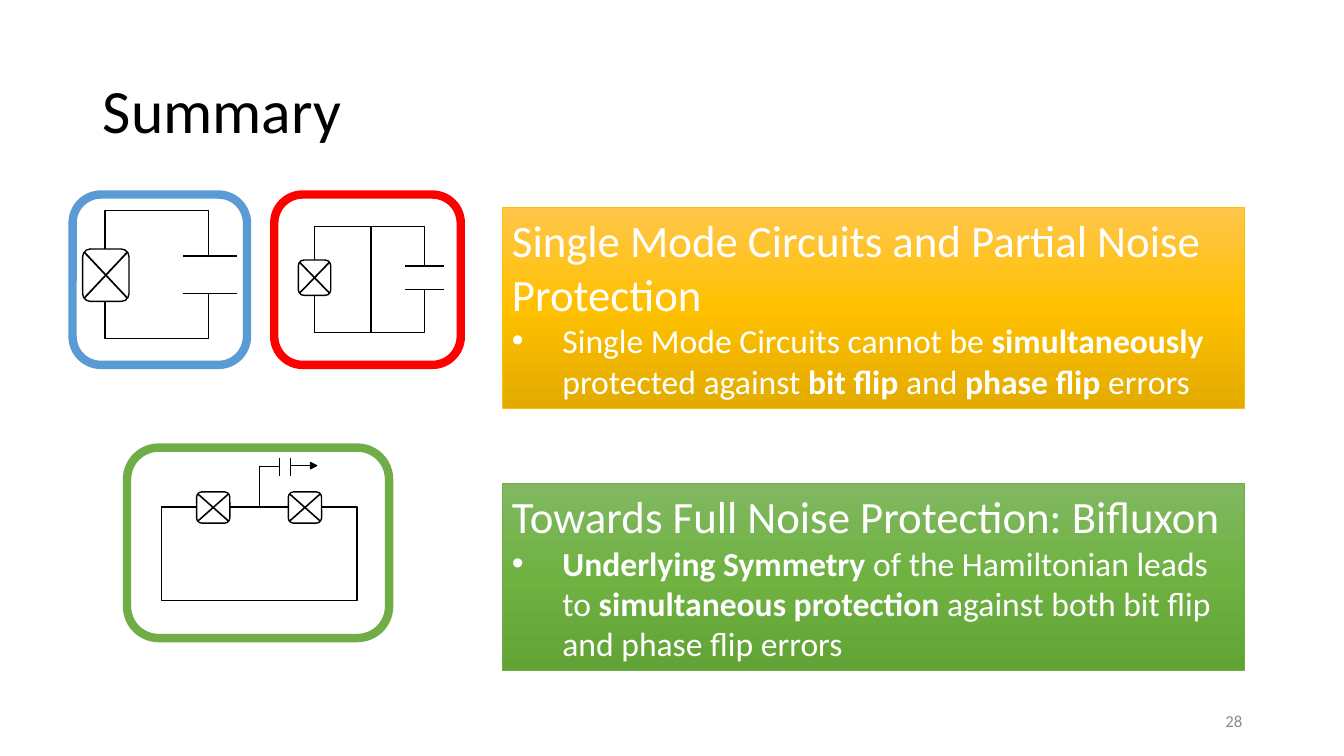
from copy import deepcopy

from pptx import Presentation
from pptx.dml.color import RGBColor
from pptx.enum.shapes import MSO_CONNECTOR, MSO_SHAPE
from pptx.enum.text import MSO_ANCHOR, MSO_AUTO_SIZE, PP_ALIGN
from pptx.oxml.ns import qn
from pptx.util import Inches, Pt

RECT, ROUND = MSO_SHAPE.RECTANGLE, MSO_SHAPE.ROUNDED_RECTANGLE
CROSS, TRIANGLE = MSO_SHAPE.MATH_MULTIPLY, MSO_SHAPE.ISOSCELES_TRIANGLE
STRAIGHT = MSO_CONNECTOR.STRAIGHT
TOP, MIDDLE = MSO_ANCHOR.TOP, MSO_ANCHOR.MIDDLE
LEFT, RIGHT = PP_ALIGN.LEFT, PP_ALIGN.RIGHT

BLACK = RGBColor(0x00, 0x00, 0x00)
WHITE = RGBColor(0xFF, 0xFF, 0xFF)
GRAY = RGBColor(0x8C, 0x8C, 0x8C)
BLUE = RGBColor(0x5B, 0x9B, 0xD5)
RED = RGBColor(0xFF, 0x00, 0x00)
GREEN = RGBColor(0x70, 0xAD, 0x47)
GOLD = RGBColor(0xFF, 0xC0, 0x00)
GOLD_SHADES = [RGBColor(0xFF, 0xC6, 0x4B), GOLD, RGBColor(0xE3, 0xAB, 0x00)]
GREEN_SHADES = [RGBColor(0x81, 0xB8, 0x61), RGBColor(0x6F, 0xB2, 0x42),
                RGBColor(0x62, 0xA3, 0x36)]

prs = Presentation()
prs.slide_width, prs.slide_height = Inches(13.33), Inches(7.5)
slide = prs.slides.add_slide(prs.slide_layouts[5])


def add_box(kind, left, top, width, height, fill=WHITE, line=BLACK, weight=1):
    box = slide.shapes.add_shape(kind, Inches(left), Inches(top),
                                 Inches(width), Inches(height))
    box.shadow.inherit = False
    if fill is None:
        box.fill.background()
    else:
        box.fill.solid()
        box.fill.fore_color.rgb = fill
    if line is None:
        box.line.fill.background()
    else:
        box.line.color.rgb = line
        box.line.width = Pt(weight)
    return box


def add_wire(x1, y1, x2, y2, weight=1):
    wire = slide.shapes.add_connector(STRAIGHT, Inches(x1), Inches(y1),
                                      Inches(x2), Inches(y2))
    wire.line.color.rgb = BLACK
    wire.line.width = Pt(weight)
    properties = wire._element.spPr
    properties.append(properties.makeelement(qn("a:effectLst"), {}))


# Title
title = slide.shapes.title
title.left, title.top = Inches(0.92), Inches(0.4)
title.width, title.height = Inches(11.5), Inches(1.45)
title.text_frame.text = "Summary"
title.text_frame.vertical_anchor = MIDDLE
heading = title.text_frame.paragraphs[0]
heading.alignment = LEFT
heading.line_spacing = 0.9
heading.font.name, heading.font.size = "Calibri", Pt(44)
heading.font.color.rgb = BLACK

# Summary panels: top, height, shades, outline, heading, (text, bold) pieces
panels = [
    (2.06, 1.99, GOLD_SHADES, GOLD,
     "Single Mode Circuits and Partial Noise Protection",
     [("Single Mode Circuits cannot be ", False), ("simultaneously", True),
      (" protected against ", False), ("bit flip ", True), ("and ", False),
      ("phase flip ", True), ("errors", False)]),
    (4.8, 1.85, GREEN_SHADES, GREEN,
     "Towards Full Noise Protection: Bifluxon",
     [("Underlying Symmetry ", True), ("of the Hamiltonian leads to ", False),
      ("simultaneous protection ", True),
      ("against both bit flip and phase flip errors", False)]),
]
for top, height, shades, outline, topic, pieces in panels:
    panel = add_box(RECT, 4.98, top, 7.36, height, line=outline, weight=0.5)
    panel.fill.gradient()
    panel.fill.gradient_angle = 270
    stop_list = panel._element.spPr.find(".//" + qn("a:gsLst"))
    stop_list.insert(1, deepcopy(stop_list[0]))
    for stop, shade, position in zip(panel.fill.gradient_stops, shades, (0, 0.5, 1)):
        stop.color.rgb = shade
        stop.position = position

    frame = panel.text_frame
    frame.word_wrap = True
    frame.auto_size = MSO_AUTO_SIZE.SHAPE_TO_FIT_TEXT
    frame.vertical_anchor = TOP
    frame.text = topic
    point = frame.add_paragraph()
    indent = point._p.get_or_add_pPr()
    indent.set("marL", str(Inches(0.5)))
    indent.set("indent", str(-Inches(0.5)))
    for tag, attributes in (("a:buFont", {"typeface": "Arial"}),
                            ("a:buChar", {"char": "•"})):
        indent.append(indent.makeelement(qn(tag), attributes))
    for text, bold in pieces:
        run = point.add_run()
        run.text = text
        run.font.bold = bold
    for paragraph, size in zip(frame.paragraphs, (32, 24)):
        paragraph.alignment = LEFT
        paragraph.font.name, paragraph.font.size = "Calibri", Pt(size)
        paragraph.font.color.rgb = WHITE

# Circuit loops
for loop in [(1.04, 2.09, 1.03, 1.27), (3.12, 2.25, 1.09, 1.05),
             (3.12, 2.25, 0.56, 1.05), (1.6, 5.03, 1.94, 0.93)]:
    add_box(RECT, *loop)

# Josephson junctions: a rounded box with a thin cross reaching its corners
for left, top, width, height in [(0.82, 2.47, 0.46, 0.52), (2.96, 2.58, 0.32, 0.35),
                                 (1.95, 4.88, 0.33, 0.31), (2.86, 4.88, 0.33, 0.31)]:
    add_box(ROUND, left, top, width, height)
    over_x, over_y = 0.37 * width, 0.32 * height
    cross = add_box(CROSS, left - over_x, top - over_y,
                    width + 2 * over_x, height + 2 * over_y)
    cross.adjustments[0] = 0.004

# Capacitors: a white gap between two plates
for left, top, width, height, upright in [(1.82, 2.54, 0.53, 0.37, False),
                                          (4.02, 2.64, 0.38, 0.23, False),
                                          (2.77, 4.54, 0.11, 0.18, True)]:
    right, bottom = left + width, top + height
    add_box(RECT, left, top, width, height, line=None)
    if upright:
        add_wire(left, top, left, bottom)
        add_wire(right, top, right, bottom)
    else:
        add_wire(left, top, right, top)
        add_wire(left, bottom, right, bottom)

# Gate lead of the bifluxon circuit
for lead in [(2.57, 5.03, 2.57, 4.63), (2.57, 4.63, 2.77, 4.63),
             (2.88, 4.62, 3.08, 4.62)]:
    add_wire(*lead, weight=0.5)
gate_tip = add_box(TRIANGLE, 3.08, 4.59, 0.06, 0.06, fill=BLACK)
gate_tip.rotation = 90

# Frames around the circuits
for color, frame_box in [(BLUE, (0.72, 1.93, 1.73, 1.69)),
                         (RED, (2.72, 1.93, 1.85, 1.69)),
                         (GREEN, (1.26, 4.44, 2.6, 1.89))]:
    add_box(ROUND, *frame_box, fill=None, line=color, weight=6)

# Page number
page = slide.shapes.add_textbox(Inches(9.42), Inches(6.95), Inches(3), Inches(0.4))
page.text_frame.word_wrap = True
page.text_frame.vertical_anchor = MIDDLE
page.text_frame.text = "28"
number = page.text_frame.paragraphs[0]
number.alignment = RIGHT
number.font.name, number.font.size = "Calibri", Pt(12)
number.font.color.rgb = GRAY

prs.save("out.pptx")
